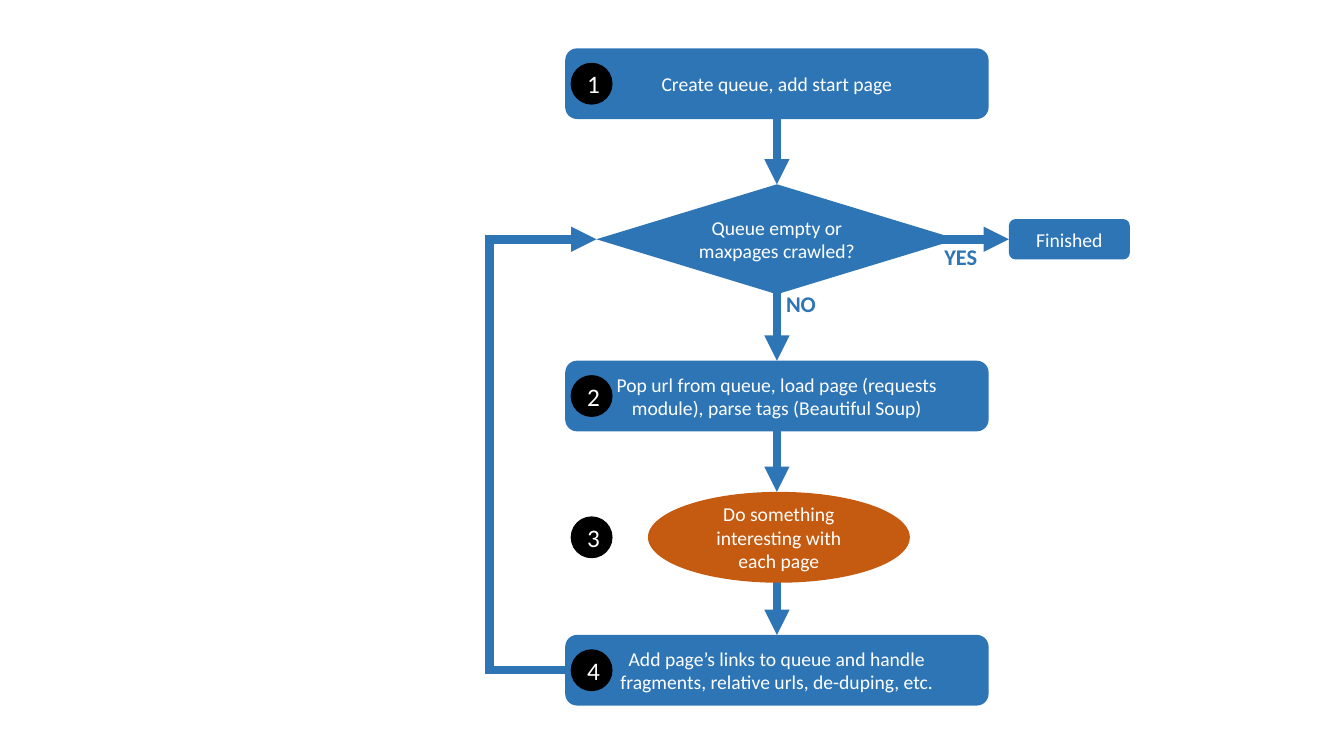
from lxml.etree import SubElement
from pptx import Presentation
from pptx.dml.color import RGBColor
from pptx.enum.shapes import MSO_CONNECTOR, MSO_SHAPE
from pptx.enum.text import MSO_ANCHOR, MSO_AUTO_SIZE, PP_ALIGN
from pptx.oxml.ns import qn
from pptx.util import Cm, Pt

COLORS = {"blue": "2E75B6", "orange": "C55A11", "black": "000000", "white": "FFFFFF"}
FONT = "Calibri"

CENTER = 19.58
BOX = (10.67, 1.78)
NODES = {
    "create": (MSO_SHAPE.FLOWCHART_ALTERNATE_PROCESS, CENTER, 2.11, *BOX, "blue",
               ["Create queue, add start page"]),
    "decide": (MSO_SHAPE.FLOWCHART_DECISION, CENTER, 6.03, 9.1, 2.77, "blue",
               ["Queue empty or maxpages crawled?"]),
    "finish": (MSO_SHAPE.ROUNDED_RECTANGLE, 26.95, 6.03, 3.05, 1.02, "blue",
               ["Finished"]),
    "load": (MSO_SHAPE.ROUNDED_RECTANGLE, CENTER, 9.98, *BOX, "blue",
             ["Pop url from queue, load page (requests module), parse tags (Beautiful Soup)"]),
    "process": (MSO_SHAPE.OVAL, 19.63, 13.54, 6.6, 2.29, "orange",
                ["Do something interesting with each page"]),
    "extend": (MSO_SHAPE.ROUNDED_RECTANGLE, CENTER, 16.89, *BOX, "blue",
               ["Add page’s links to queue and handle",
                "fragments, relative urls, de-duping, etc."]),
}
NUMBERED = ["create", "load", "process", "extend"]
BADGE_X, BADGE_SIZE = 14.91, 1.02
LABELS = [("YES", 23.55, 5.99, 1.35), ("NO", 19.56, 7.19, 1.27)]
LABEL_HEIGHT = 0.94
DOWN_LENGTH, FINISH_LENGTH = 2.03, 4.06
LOOP_X, LOOP_EDGE = 12.34, 12.23
TOP, LEFT = 0, 1


def color(name):
    return RGBColor.from_string(COLORS[name])


def write(box, lines, size, shade, bold=False, align=PP_ALIGN.CENTER):
    para = box.text_frame.paragraphs[0]
    para.alignment = align
    for index, line in enumerate(lines):
        if index:
            para.add_line_break()
        span = para.add_run()
        span.text = line
        span.font.name = FONT
        span.font.size = Pt(size)
        span.font.bold = bold
        span.font.color.rgb = color(shade)


def add_line(page, start, end, arrow=True):
    line = page.shapes.add_connector(
        MSO_CONNECTOR.STRAIGHT, *(Cm(length) for length in (*start, *end)))
    line.line.color.rgb = color("blue")
    line.line.width = Pt(6)
    if arrow:
        SubElement(line.line._get_or_add_ln(), qn("a:tailEnd"), type="triangle")
    SubElement(line._element.spPr, qn("a:effectLst"))
    return line


def add_node(page, kind, center, middle, width, height, fill, lines, size=14):
    box = page.shapes.add_shape(kind, Cm(center - width / 2), Cm(middle - height / 2),
                                Cm(width), Cm(height))
    box.shadow.inherit = False
    box.fill.solid()
    box.fill.fore_color.rgb = color(fill)
    box.line.fill.background()
    box.text_frame.word_wrap = True
    box.text_frame.vertical_anchor = MSO_ANCHOR.MIDDLE
    write(box, lines, size, "white")
    return box


def add_label(page, text, left, top, width):
    box = page.shapes.add_textbox(Cm(left), Cm(top), Cm(width), Cm(LABEL_HEIGHT))
    box.text_frame.word_wrap = False
    box.text_frame.auto_size = MSO_AUTO_SIZE.SHAPE_TO_FIT_TEXT
    write(box, [text], 16, "blue", bold=True, align=PP_ALIGN.LEFT)


def main():
    deck = Presentation()
    deck.slide_width, deck.slide_height = Cm(33.87), Cm(19.05)
    page = deck.slides.add_slide(deck.slide_layouts[6])

    joins = []
    for name in ("decide", "load", "process", "extend"):
        _, _, middle, _, height, *_ = NODES[name]
        top = middle - height / 2
        line = add_line(page, (CENTER, top - DOWN_LENGTH), (CENTER, top))
        if name != "process":
            joins.append((line, name, TOP))
    for name, reach, arrow in (("finish", FINISH_LENGTH, True),
                               ("decide", None, True), ("extend", None, False)):
        _, center, middle, width, *_ = NODES[name]
        left = center - width / 2
        start = left - reach if reach else LOOP_EDGE
        joins.append((add_line(page, (start, middle), (left, middle), arrow), name, LEFT))
    add_line(page, (LOOP_X, NODES["decide"][2]), (LOOP_X, NODES["extend"][2]), arrow=False)

    boxes = {name: add_node(page, *node) for name, node in NODES.items()}
    for line, name, side in joins:
        line.end_connect(boxes[name], side)

    for label in LABELS:
        add_label(page, *label)
    for number, name in enumerate(NUMBERED, start=1):
        badge = add_node(page, MSO_SHAPE.OVAL, BADGE_X, NODES[name][2],
                         BADGE_SIZE, BADGE_SIZE, "black", [str(number)], size=18)
        badge.line.color.rgb = color("black")
        badge.line.width = Pt(1)

    deck.save("out.pptx")


if __name__ == "__main__":
    main()
